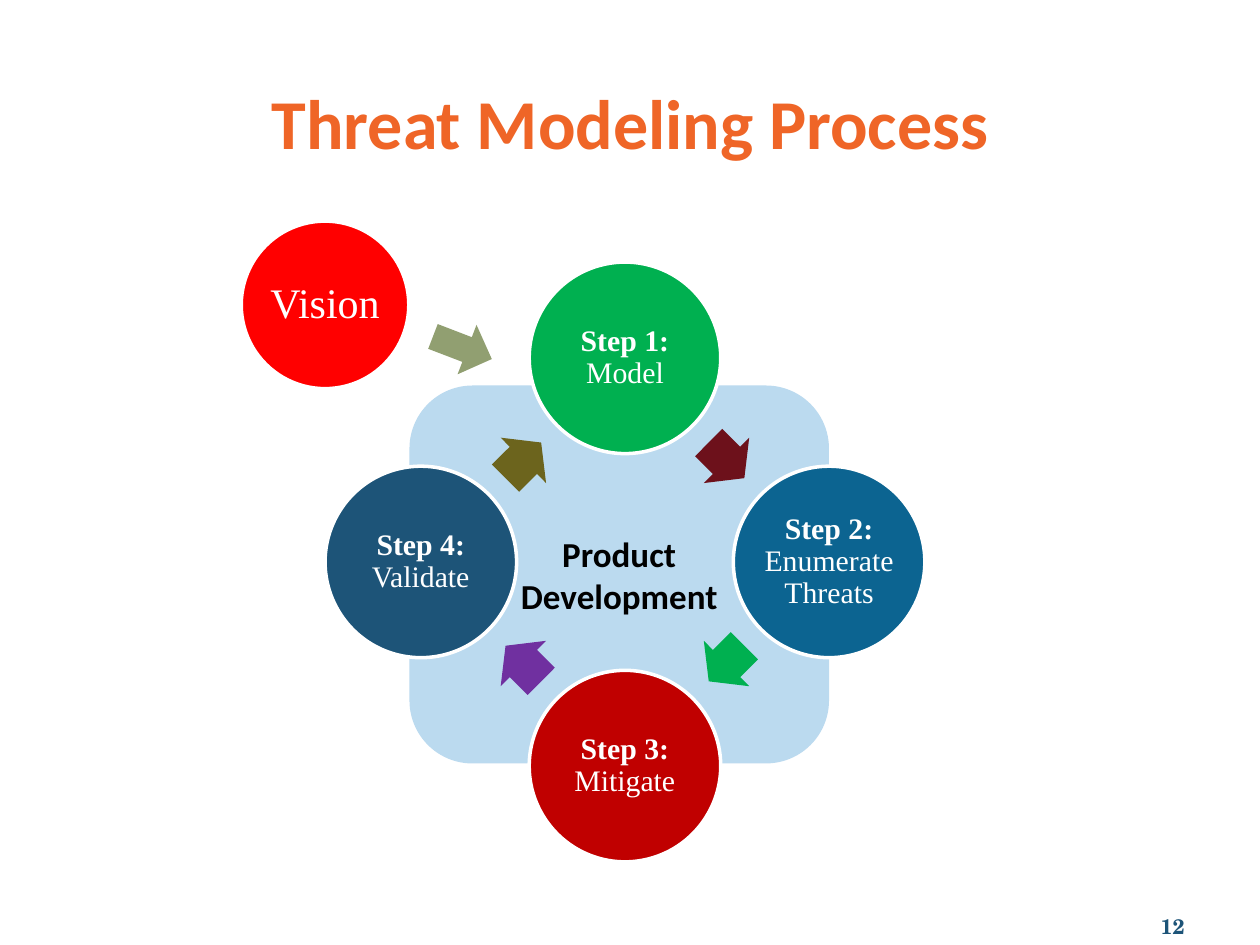
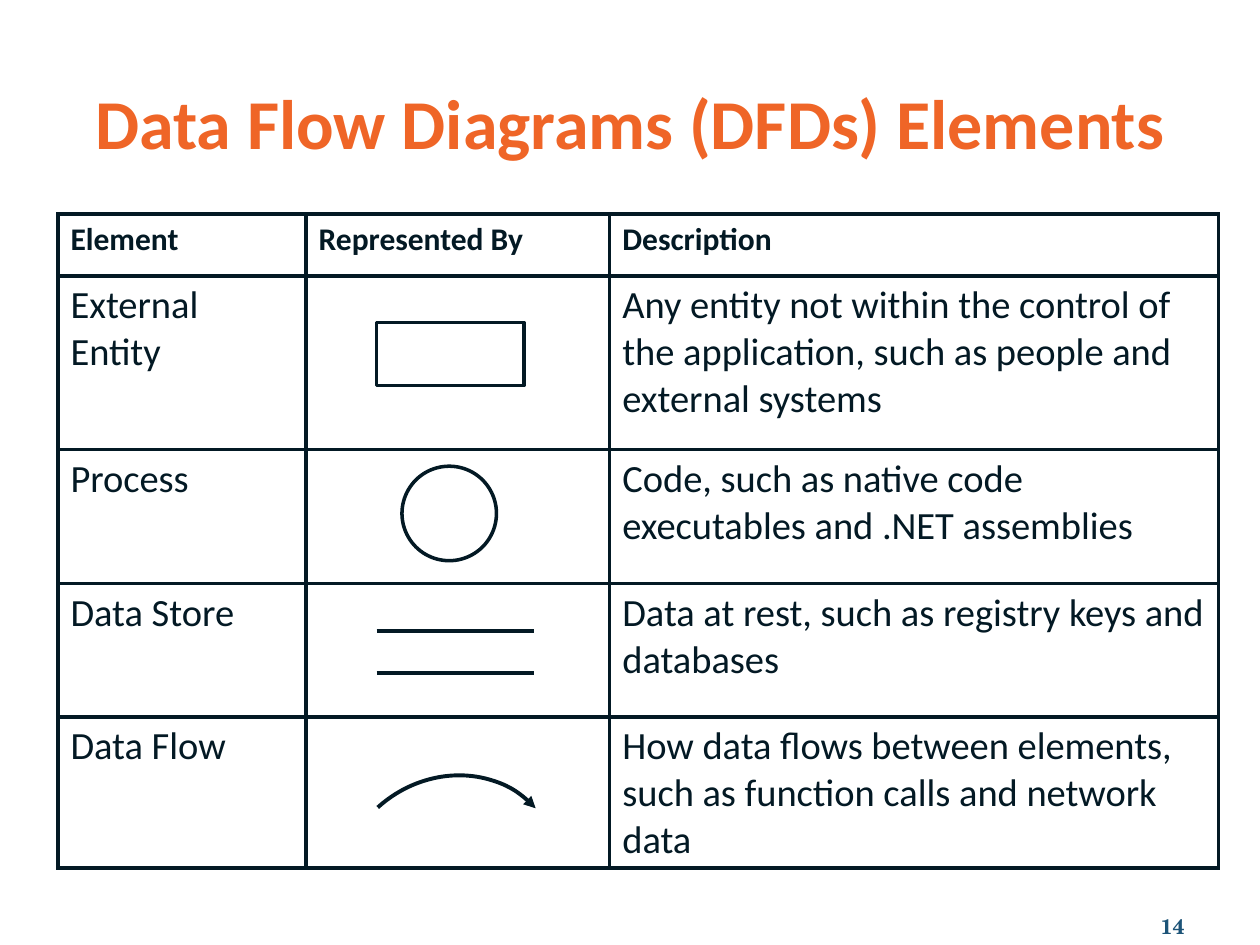
from dataclasses import dataclass
from math import cos, radians, sin

from lxml.etree import SubElement
from pptx import Presentation
from pptx.dml.color import RGBColor
from pptx.enum.shapes import MSO_CONNECTOR, MSO_SHAPE
from pptx.enum.text import MSO_ANCHOR, MSO_AUTO_SIZE, PP_ALIGN
from pptx.oxml.ns import qn
from pptx.util import Pt

PX = 9144  # EMU in one px, 100 px to the inch
TITLE_ONLY = 5


@dataclass(frozen=True)
class Theme:
    orange: str = "EF6527"
    navy: str = "1D5478"
    ink: str = "031924"
    white: str = "FFFFFF"
    black: str = "000000"
    panel: str = "BBDAEF"
    red: str = "FF0000"
    sage: str = "919F71"
    sans: str = "Calibri"
    serif: str = "Times New Roman"
    number_font: str = "TeX Gyre Schola"
    title_size: int = 40
    vision_size: int = 24
    body_size: int = 22
    panel_size: int = 20
    header_size: int = 18
    step_size: int = 17
    number_size: int = 12
    rule: float = 2.25
    outline: float = 2


T = Theme()

# Process slide: steps run clockwise from the top, each followed by its arrow
PROCESS = {"title": "Threat Modeling Process", "number": "12"}
VISION = "Vision"
PANEL_LINES = ["Product", "Development"]
STEPS = [
    ("Step 1:", " Model", "00B050", "6D111B"),
    ("Step 2: ", "Enumerate Threats", "0C6491", "00B050"),
    ("Step 3:", " Mitigate", "C00000", "7030A0"),
    ("Step 4:", " Validate", T.navy, "6C641D"),
]
CYCLE_CENTRE = (496, 446)
CYCLE_RADIUS = 162
ARROW_RADIUS = 114
STEP_SIZE = 152
ARROW_SIZE = (40, 51)

# Elements slide
ELEMENTS = {"title": "Data Flow Diagrams (DFDs) Elements", "number": "14"}
HEADERS = ["Element", "Represented By", "Description"]
ROWS = [
    ("External Entity", "Any entity not within the control of the application, "
                        "such as people and external systems"),
    ("Process", "Code, such as native code executables and .NET assemblies"),
    ("Data Store", "Data at rest, such as registry keys and databases"),
    ("Data Flow", "How data flows between elements, such as function calls and network data"),
]
TABLE_AT = (46, 170)
COL_WIDTHS = [197, 241, 483]
ROW_HEIGHTS = [49, 138, 106, 106, 106]
STORE_X = (299, 424)
STORE_YS = (501, 534)


def emu(*lengths):
    return [round(v * PX) for v in lengths]


def rgb(code):
    return RGBColor.from_string(code)


def write(p, text, size, color, font=T.sans, bold=False):
    r = p.add_run()
    r.text = text
    r.font.color.rgb = rgb(color)
    for name, value in {"size": Pt(size), "name": font, "bold": bold}.items():
        setattr(r.font, name, value)


def format_frame(tf, inset=None, **values):
    for name, value in {"word_wrap": True, **values}.items():
        setattr(tf, name, value)
    if inset is not None:
        for side in ("left", "right", "top", "bottom"):
            setattr(tf, f"margin_{side}", emu(inset)[0])


def add_shape(s, kind, box, fill=None, line=None, width=T.outline, rotation=0):
    sp = s.shapes.add_shape(kind, *emu(*box))
    sp.shadow.inherit = False
    sp.rotation = rotation
    if fill:
        sp.fill.solid()
        sp.fill.fore_color.rgb = rgb(fill)
    else:
        sp.fill.background()
    if line:
        sp.line.color.rgb = rgb(line)
        sp.line.width = Pt(width)
    else:
        sp.line.fill.background()
    return sp


def add_circle(s, centre, size, fill, runs, text_size, inset):
    """Draw a white-edged disc holding (text, bold) runs."""
    x, y = centre
    sp = add_shape(s, MSO_SHAPE.OVAL, (x - size / 2, y - size / 2, size, size), fill, T.white)
    format_frame(sp.text_frame, inset, vertical_anchor=MSO_ANCHOR.MIDDLE)
    p = sp.text_frame.paragraphs[0]
    p.alignment, p.line_spacing = PP_ALIGN.CENTER, 0.9
    for text, bold in runs:
        write(p, text, text_size, T.white, T.serif, bold)


def add_titled_slide(prs, title, number):
    s = prs.slides.add_slide(prs.slide_layouts[TITLE_ONLY])
    sp = s.shapes.title
    sp.left, sp.top, sp.width, sp.height = emu(50, 58, 900, 77)
    number_box = s.shapes.add_textbox(*emu(742, 700, 208, 50))
    format_frame(sp.text_frame, auto_size=MSO_AUTO_SIZE.NONE, vertical_anchor=MSO_ANCHOR.TOP)
    format_frame(number_box.text_frame, vertical_anchor=MSO_ANCHOR.BOTTOM)
    for box, align, args in (
        (sp, PP_ALIGN.CENTER, (title, T.title_size, T.orange, T.sans)),
        (number_box, PP_ALIGN.RIGHT, (number, T.number_size, T.navy, T.number_font)),
    ):
        p = box.text_frame.paragraphs[0]
        p.alignment = align
        write(p, *args, bold=True)
    return s


def on_cycle(radius, angle):
    """Point on the cycle at a clockwise angle from the top."""
    x, y = CYCLE_CENTRE
    return x + radius * sin(radians(angle)), y - radius * cos(radians(angle))


def add_process_slide(prs):
    s = add_titled_slide(prs, **PROCESS)
    add_circle(s, (258, 242), 133, T.red, [(VISION, False)], T.vision_size, 3)

    panel = add_shape(s, MSO_SHAPE.ROUNDED_RECTANGLE, (325, 306, 333, 300), T.panel)
    tf = panel.text_frame
    format_frame(tf, vertical_anchor=MSO_ANCHOR.MIDDLE)
    for i, text in enumerate(PANEL_LINES):
        p = tf.add_paragraph() if i else tf.paragraphs[0]
        p.alignment = PP_ALIGN.CENTER
        write(p, text, T.panel_size, T.black, bold=True)
    add_shape(s, MSO_SHAPE.RIGHT_ARROW, (342, 255, 50, 42), T.sage, rotation=21)

    w, h = ARROW_SIZE
    for i, (label, name, fill, arrow_fill) in enumerate(STEPS):
        angle = i * 360 / len(STEPS)
        add_circle(s, on_cycle(CYCLE_RADIUS, angle), STEP_SIZE, fill,
                   [(label, True), (name, False)], T.step_size, 2)
        x, y = on_cycle(ARROW_RADIUS, angle + 45)
        arrow = add_shape(s, MSO_SHAPE.RIGHT_ARROW, (x - w / 2, y - h / 2, w, h),
                          arrow_fill, rotation=angle + 45)
        arrow.adjustments[0] = 0.6


def rule_cell(cell):
    """Give a cell four ruled sides and no fill."""
    tc_pr = cell._tc.get_or_add_tcPr()
    for side in ("lnL", "lnR", "lnT", "lnB"):
        ln = SubElement(tc_pr, qn(f"a:{side}"), w=str(Pt(T.rule)))
        SubElement(SubElement(ln, qn("a:solidFill")), qn("a:srgbClr"), val=T.ink)
    cell.fill.background()


def add_elements_table(s):
    cells = [HEADERS] + [(name, "", description) for name, description in ROWS]
    size = sum(COL_WIDTHS), sum(ROW_HEIGHTS)
    table = s.shapes.add_table(len(cells), len(HEADERS), *emu(*TABLE_AT, *size)).table
    table.first_row = table.horz_banding = False
    for col, width in zip(table.columns, emu(*COL_WIDTHS)):
        col.width = width
    for row, height in zip(table.rows, emu(*ROW_HEIGHTS)):
        row.height = height
    for i, texts in enumerate(cells):
        for j, text in enumerate(texts):
            cell = table.cell(i, j)
            rule_cell(cell)
            if text:
                write(cell.text_frame.paragraphs[0], text,
                      T.body_size if i else T.header_size, T.ink, bold=i == 0)


def add_elements_slide(prs):
    s = add_titled_slide(prs, **ELEMENTS)
    add_elements_table(s)
    add_shape(s, MSO_SHAPE.RECTANGLE, (299, 256, 117, 50), line=T.ink)
    add_shape(s, MSO_SHAPE.OVAL, (319, 370, 75, 75), line=T.ink)
    for y in STORE_YS:
        store = s.shapes.add_connector(MSO_CONNECTOR.STRAIGHT,
                                       *emu(STORE_X[0], y, STORE_X[1], y))
        store.line.color.rgb = rgb(T.ink)
        store.line.width = Pt(T.rule)
        SubElement(store._element.spPr, qn("a:effectLst"))
    flow = add_shape(s, MSO_SHAPE.ARC, (264, 619, 185, 169), line=T.ink,
                     width=T.rule, rotation=317.9)
    SubElement(flow.line._get_or_add_ln(), qn("a:tailEnd"), type="triangle")


def main():
    prs = Presentation()
    prs.slide_width, prs.slide_height = emu(1000, 750)
    add_process_slide(prs)
    add_elements_slide(prs)
    prs.save("out.pptx")


if __name__ == "__main__":
    main()
